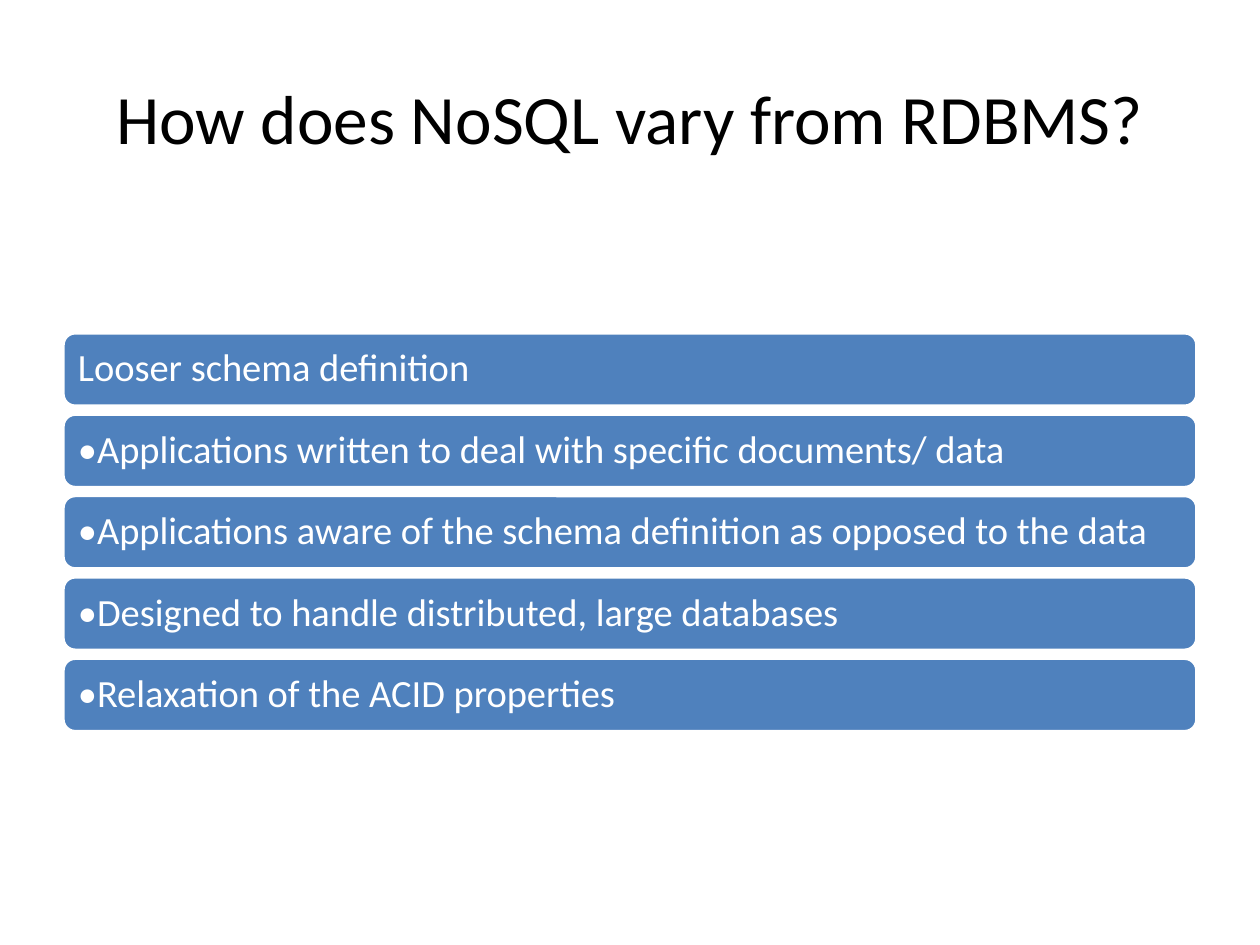
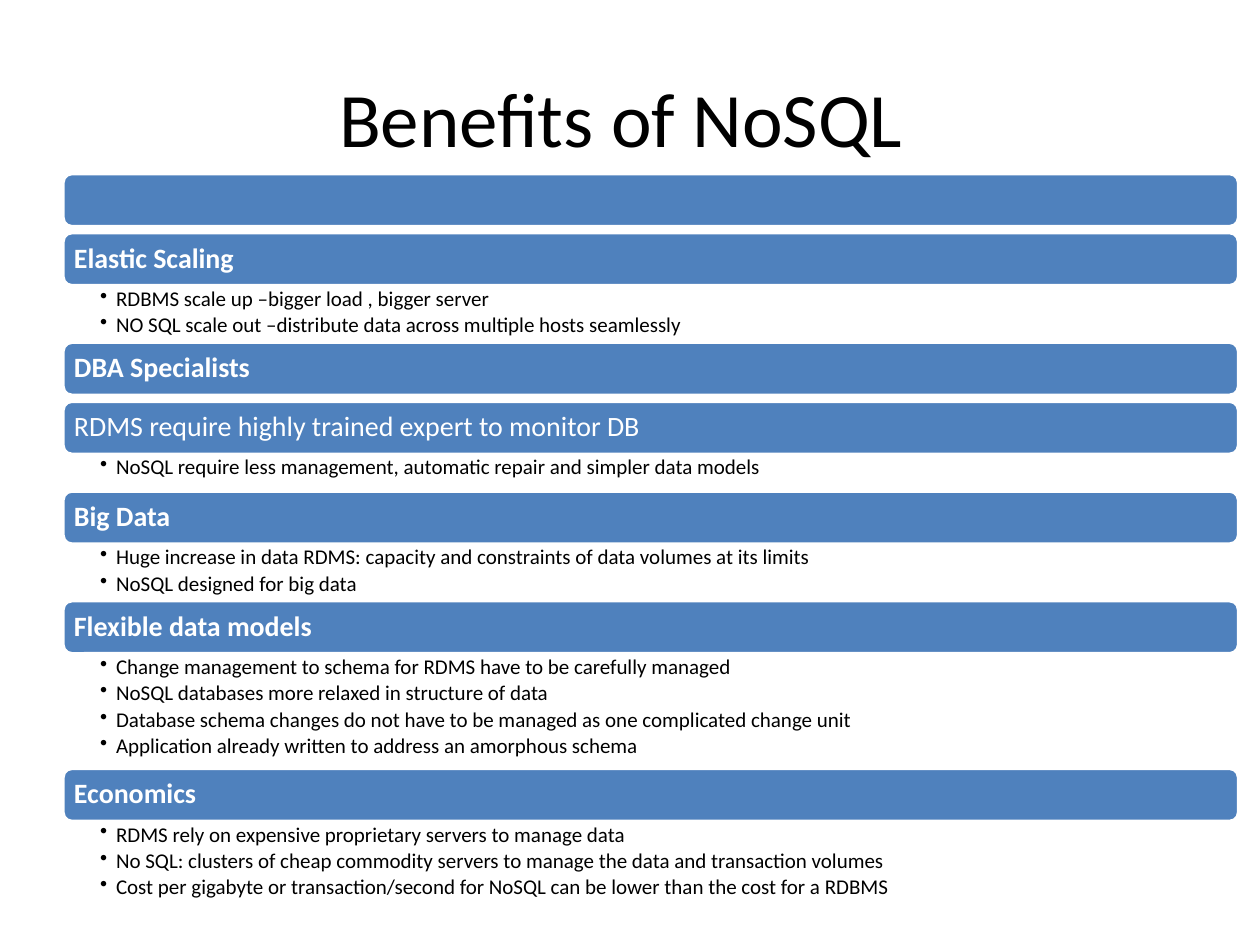
from dataclasses import dataclass
from lxml import etree
from pptx import Presentation
from pptx import util as u
from pptx.dml.color import RGBColor
from pptx.enum import shapes, text
from pptx.oxml.ns import qn


@dataclass(frozen=True)
class Theme:
    """Colours, font and type sizes of the deck."""
    font: str = "Calibri"
    blue: RGBColor = RGBColor(0x4F, 0x81, 0xBD)
    white: RGBColor = RGBColor(255, 255, 255)
    black: RGBColor = RGBColor(0, 0, 0)
    edge: float = 2
    item: float = 12


@dataclass(frozen=True)
class Bars:
    """Measures of one stack of bars: lengths in cm, type size in points."""
    high: float
    gap: float
    pad: float
    size: float


THEME = Theme()
HEAD = (1.27, 0.76, 22.86, 3.18)
WIDE = Bars(1.48, 0.16, 0.23, 22)
TIGHT = Bars(1.07, 0.12, 0.17, 16)
DEPTH = {1: 0.74, 2: 1.14, 3: 1.75, 4: 2.31}

TRAITS = [
    ("Looser schema definition", False, []),
    ("•Applications written to deal with specific documents/ data ", False, []),
    ("•Applications aware of the schema definition as opposed to the data ", False, []),
    ("•Designed to handle distributed, large databases", False, []),
    ("•Relaxation of the ACID properties ", False, []),
]

GAINS = [
    ("", False, []),
    ("Elastic Scaling ", True, [
        "RDBMS scale up –bigger load , bigger server",
        "NO SQL scale out –distribute data across multiple hosts seamlessly",
    ]),
    ("DBA Specialists", True, []),
    ("RDMS require highly trained expert to monitor DB", False, [
        "NoSQL require less management, automatic repair and simpler data models ",
    ]),
    ("Big Data ", True, [
        "Huge increase in data RDMS: capacity and constraints of data volumes at its limits",
        "NoSQL designed for big data ",
    ]),
    ("Flexible data models ", True, [
        "Change management to schema for RDMS have to be carefully managed",
        "NoSQL databases more relaxed in structure of data",
        "Database schema changes do not have to be managed as one complicated change unit",
        "Application already written to address an amorphous schema",
    ]),
    ("Economics", True, [
        "RDMS rely on expensive proprietary servers to manage data ",
        "No SQL: clusters of cheap commodity servers to manage the data and transaction volumes",
        "Cost per gigabyte or transaction/second for NoSQL can be lower than the cost for a RDBMS ",
    ]),
]


def assign(obj, **vals):
    """Set each named attribute of an object."""
    for name, val in vals.items():
        setattr(obj, name, val)


def place(box):
    """Turn a box in cm into slide lengths."""
    return [u.Cm(side) for side in box]


def frame(shape, pads, anchor):
    """Prepare a text frame; pads are left, top, right, bottom in cm."""
    left, top, right, low = place(pads)
    assign(shape.text_frame, word_wrap=True, vertical_anchor=anchor,
           margin_left=left, margin_top=top, margin_right=right, margin_bottom=low)
    return shape.text_frame


def write(para, words, size, color, bold=False, **form):
    """Write one run into a paragraph and format both."""
    run = para.add_run()
    run.text = words
    assign(run.font, name=THEME.font, size=u.Pt(size), bold=bold)
    run.font.color.rgb = color
    assign(para, **form)


def title(slide, box, words, size):
    """Place the centred slide title."""
    shape = slide.shapes.add_textbox(*place(box))
    body = frame(shape, (0.25, 0.13, 0.25, 0.13), text.MSO_ANCHOR.MIDDLE)
    write(body.paragraphs[0], words, size, THEME.black, alignment=text.PP_ALIGN.CENTER)


def bar(slide, box, words, bold, look):
    """Place one rounded bar with its label."""
    shape = slide.shapes.add_shape(shapes.MSO_SHAPE.ROUNDED_RECTANGLE, *place(box))
    shape.shadow.inherit = False
    shape.fill.solid()
    shape.fill.fore_color.rgb = THEME.blue
    shape.line.color.rgb = THEME.white
    shape.line.width = u.Pt(THEME.edge)
    body = frame(shape, [look.pad] * 4, text.MSO_ANCHOR.MIDDLE)
    if words:
        write(body.paragraphs[0], words, look.size, THEME.white, bold,
              alignment=text.PP_ALIGN.LEFT, line_spacing=0.9)


def bullet(para):
    """Give a paragraph a hanging bullet."""
    props = para._p.get_or_add_pPr()
    hang = u.Cm(0.32)
    props.set("marL", str(hang))
    props.set("indent", str(-hang))
    etree.SubElement(props, qn("a:buChar")).set("char", "•")


def points(slide, box, lines):
    """Place the bulleted lines below a bar."""
    shape = slide.shapes.add_textbox(*place(box))
    body = frame(shape, (0.75, 0.05, 0.3, 0.05), text.MSO_ANCHOR.TOP)
    for num, line in enumerate(lines):
        para = body.add_paragraph() if num else body.paragraphs[0]
        write(para, line, THEME.item, THEME.black, level=1,
              line_spacing=0.9, space_after=u.Pt(2.1))
        bullet(para)


def stack(slide, left, top, width, rows, look):
    """Stack bars downward, each followed by its points or by a gap."""
    for words, bold, lines in rows:
        bar(slide, (left, top, width, look.high), words, bold, look)
        top += look.high
        if lines:
            points(slide, (left, top, width, DEPTH[len(lines)]), lines)
        top += DEPTH[len(lines)] if lines else look.gap


def main():
    """Build and save the deck."""
    deck = Presentation()
    assign(deck, slide_width=u.Cm(25.4), slide_height=u.Cm(19.05))
    pages = [
        ("How does NoSQL vary from RDBMS?", 39.6, 6.71, 22.86, TRAITS, WIDE),
        ("Benefits of NoSQL ", 44, 3.5, 23.7, GAINS, TIGHT),
    ]
    for words, size, top, width, rows, look in pages:
        slide = deck.slides.add_slide(deck.slide_layouts[6])
        title(slide, HEAD, words, size)
        stack(slide, HEAD[0], top, width, rows, look)
    deck.save("out.pptx")


main()
